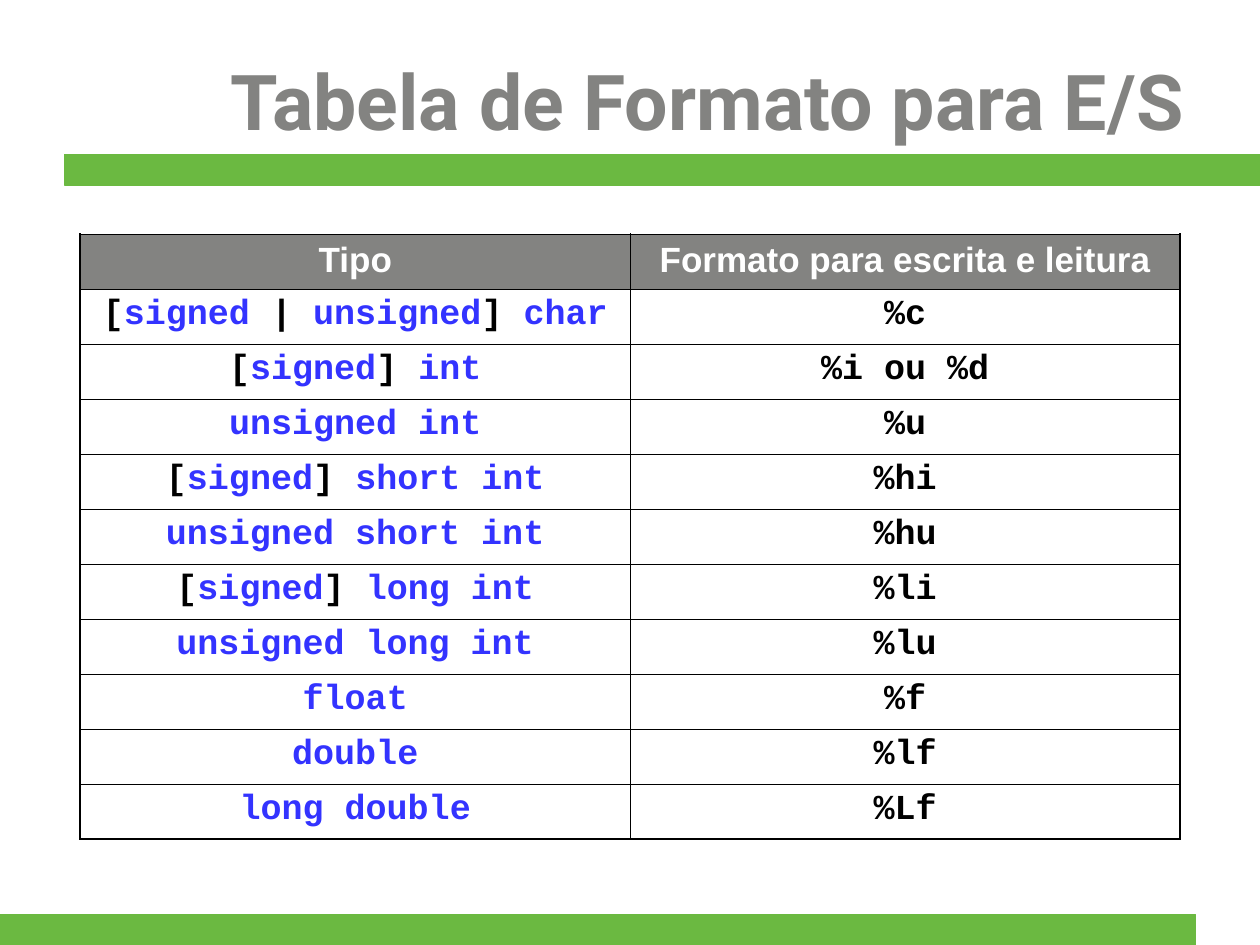
from lxml import etree
from pptx import Presentation
from pptx.dml.color import RGBColor
from pptx.enum.shapes import MSO_SHAPE
from pptx.enum.text import MSO_ANCHOR, PP_ALIGN
from pptx.oxml.ns import qn
from pptx.util import Pt

RECT = MSO_SHAPE.RECTANGLE
MIDDLE = MSO_ANCHOR.MIDDLE
CENTER, RIGHT = PP_ALIGN.CENTER, PP_ALIGN.RIGHT

GREEN, GRAY, WHITE, BLACK, BLUE = "6BB941", "838381", "FFFFFF", "000000", "3333FF"
SLIDE_W, SLIDE_H = 720, 540
BAR_W, BAR_H = 683.28, 17.28
TITLE_FONT = {"name": "Roboto", "size": Pt(44), "bold": True}
HEADER_FONT = {"name": "Arial", "size": Pt(20), "bold": True}
CODE_FONT = {"name": "Courier New", "size": Pt(20), "bold": True}
OUTER, INNER = 1.08, 0.45

HEADER = ("Tipo", "Formato para escrita e leitura")
# Asterisks switch between black text and blue keywords.
FORMATS = [
    ("[*signed* | *unsigned*] *char", "%c"),
    ("[*signed*] *int", "%i ou %d"),
    ("*unsigned int", "%u"),
    ("[*signed*] *short int", "%hi"),
    ("*unsigned short int", "%hu"),
    ("[*signed*] *long int", "%li"),
    ("*unsigned long int", "%lu"),
    ("*float", "%f"),
    ("*double", "%lf"),
    ("*long double", "%Lf"),
]


def rgb(value):
    return RGBColor.from_string(value)


class SlideBuilder:
    def __init__(self, prs):
        self.slide = prs.slides.add_slide(prs.slide_layouts[6])

    def bar(self, x, y):
        sp = self.slide.shapes.add_shape(RECT, Pt(x), Pt(y), Pt(BAR_W), Pt(BAR_H))
        sp.shadow.inherit = False
        sp.fill.solid()
        sp.fill.fore_color.rgb = rgb(GREEN)
        sp.line.color.rgb = rgb(GREEN)
        sp.line.width = Pt(0.75)

    def runs(self, p, text, font, colors):
        """Add text to p, alternating the colors at each asterisk."""
        for i, piece in enumerate(text.split("*")):
            if piece:
                r = p.add_run()
                r.text = piece
                for key, value in font.items():
                    setattr(r.font, key, value)
                r.font.color.rgb = rgb(colors[i % len(colors)])

    def title(self, text, x, y, w, h):
        tf = self.slide.shapes.add_textbox(Pt(x), Pt(y), Pt(w), Pt(h)).text_frame
        tf.word_wrap = True
        tf.vertical_anchor = MIDDLE
        p = tf.paragraphs[0]
        p.alignment = RIGHT
        self.runs(p, text, TITLE_FONT, [GRAY])

    def borders(self, cell, widths):
        """Draw the left, right, top and bottom borders, in that order."""
        tc_pr = cell._tc.get_or_add_tcPr()
        for i, (tag, width) in enumerate(zip(("lnL", "lnR", "lnT", "lnB"), widths)):
            ln = etree.Element(qn(f"a:{tag}"), w=str(Pt(width)))
            fill = etree.SubElement(ln, qn("a:solidFill"))
            etree.SubElement(fill, qn("a:srgbClr"), val=BLACK)
            tc_pr.insert(i, ln)

    def table(self, rows, x, y, w, h):
        n_rows, n_cols = len(rows), len(rows[0])
        table = self.slide.shapes.add_table(
            n_rows, n_cols, Pt(x), Pt(y), Pt(w), Pt(h)).table
        table.first_row = table.horz_banding = False
        for i, row in enumerate(rows):
            table.rows[i].height = Pt(h / n_rows)
            for j, text in enumerate(row):
                cell = table.cell(i, j)
                p = cell.text_frame.paragraphs[0]
                p.alignment = CENTER
                p.space_before = Pt(5)
                if i == 0:
                    cell.fill.solid()
                    cell.fill.fore_color.rgb = rgb(GRAY)
                    self.runs(p, text, HEADER_FONT, [WHITE])
                else:
                    cell.fill.background()
                    self.runs(p, text, CODE_FONT, [BLACK, BLUE])
                edges = (j == 0, j == n_cols - 1, i == 0, i == n_rows - 1)
                self.borders(cell, [OUTER if edge else INNER for edge in edges])


def main():
    prs = Presentation()
    prs.slide_width, prs.slide_height = Pt(SLIDE_W), Pt(SLIDE_H)
    s = SlideBuilder(prs)
    s.bar(SLIDE_W - BAR_W, 88.4)
    s.bar(0, SLIDE_H - BAR_H)
    s.title("Tabela de Formato para E/S", 36, 31.7, 648, 51)
    s.table([HEADER, *FORMATS], 45.9, 133.9, 628.5, 345.6)
    prs.save("out.pptx")


if __name__ == "__main__":
    main()
